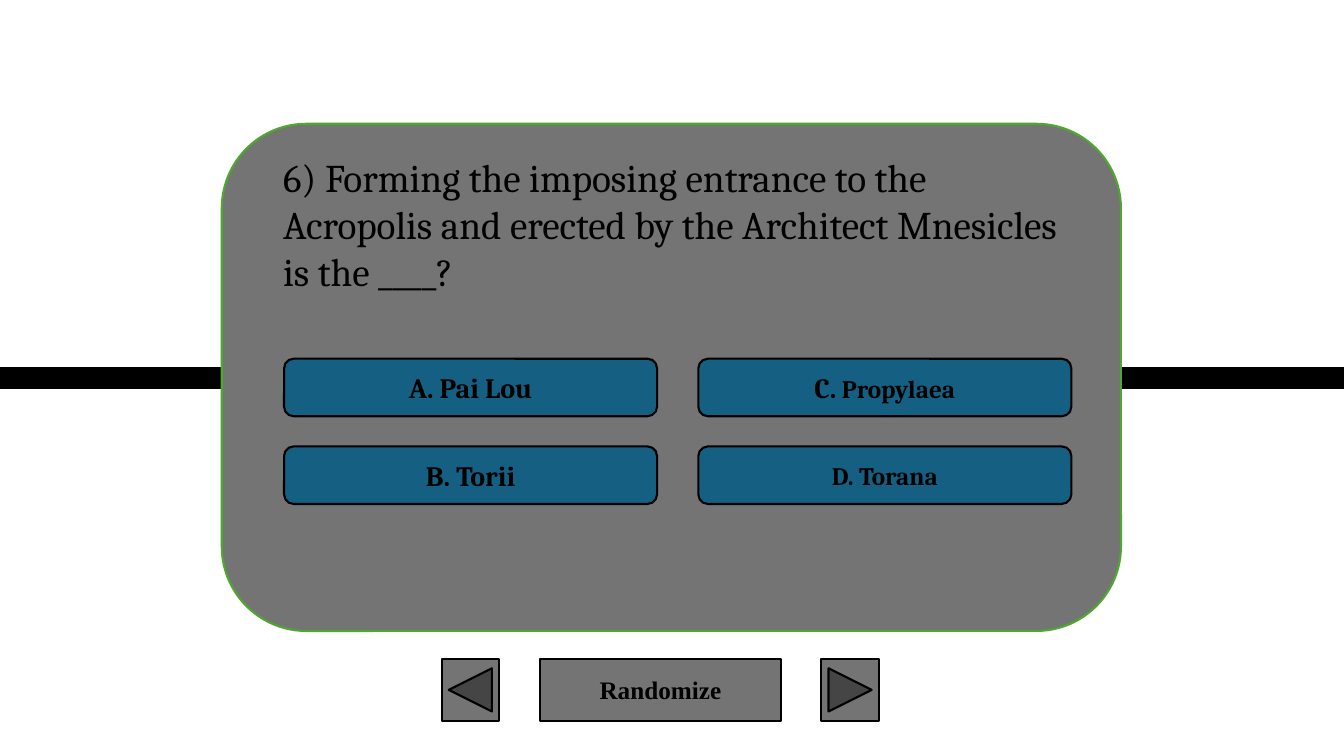
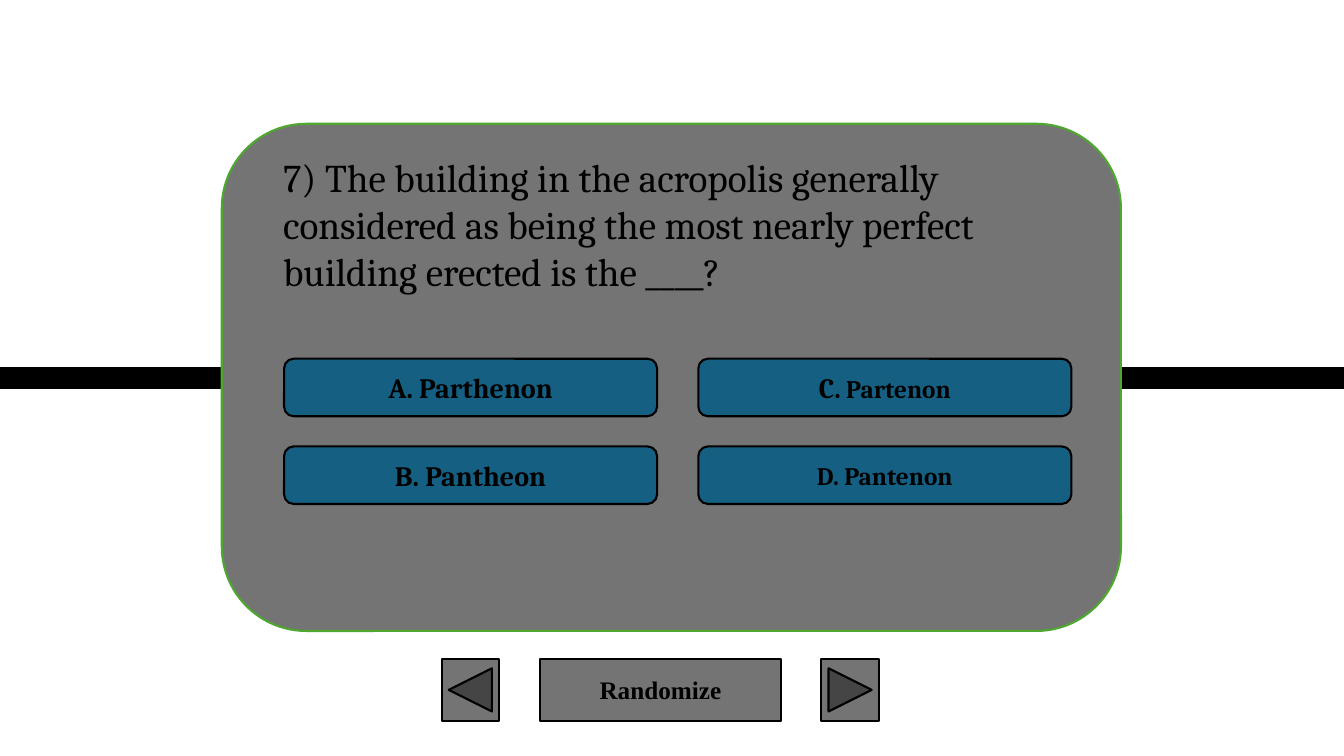
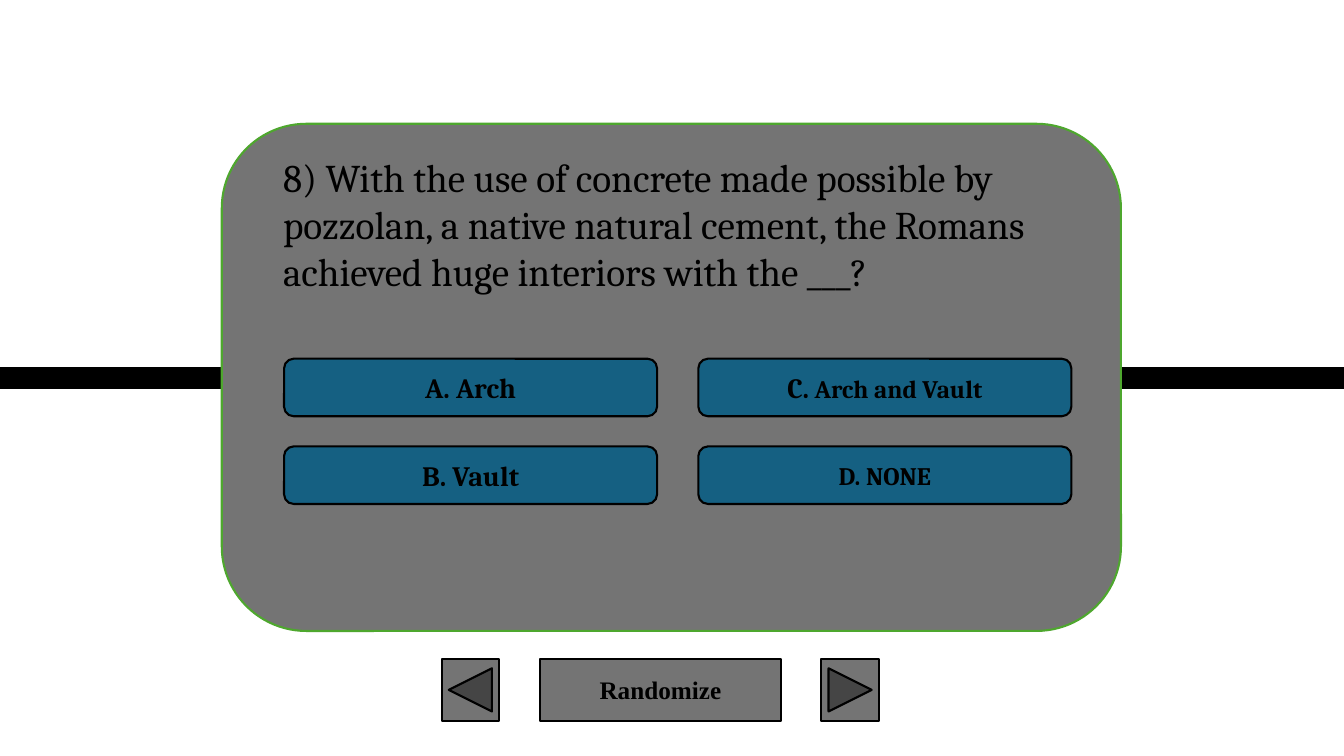
from lxml.etree import SubElement
from pptx import Presentation
from pptx.dml.color import RGBColor
from pptx.enum.shapes import MSO_CONNECTOR as Link, MSO_SHAPE as Kind
from pptx.enum.text import MSO_ANCHOR as Anchor, MSO_AUTO_SIZE as Fit, PP_ALIGN as Align
from pptx.oxml.ns import qn
from pptx.util import Cm, Pt

BLACK, GREY, GREEN, BLUE = "000000", "747474", "4EA72E", "156082"
SERIF, TIMES = "Cambria", "Times New Roman"

# Question, height of its box, answers A to D
QUIZ = [
    ("6) Forming the imposing entrance to the Acropolis and erected by the "
     "Architect Mnesicles is the ____?", 3.84,
     ["Pai Lou", "Torii", "Propylaea", "Torana"]),
    ("7) The building in the acropolis generally considered as being the most "
     "nearly perfect building erected is the ____?", 3.84,
     ["Parthenon", "Pantheon", "Partenon", "Pantenon"]),
    ("8) With the use of concrete made possible by pozzolan, a native natural "
     "cement, the Romans achieved huge interiors with the ___?", 5.05,
     ["Arch", "Vault", "Arch and Vault", "NONE"]),
]
SIZES = [(20, 20), (20, 20), (20, 18), (18, 18)]  # letter, answer

NAV = [
    (Kind.ACTION_BUTTON_CUSTOM, 13.61, 6.07, "Randomize"),
    (Kind.ACTION_BUTTON_BACK_OR_PREVIOUS, 11.13, 1.45, ""),
    (Kind.ACTION_BUTTON_FORWARD_OR_NEXT, 20.7, 1.45, ""),
]


def write(shape, *runs, font=SERIF, bold=True, align=Align.CENTER, anchor=Anchor.MIDDLE):
    """Fill a shape with one paragraph of (text, size) runs."""
    frame = shape.text_frame
    frame.word_wrap = True
    frame.vertical_anchor = anchor
    para = frame.paragraphs[0]
    para.alignment = align
    for text, size in runs:
        run = para.add_run()
        run.text = text
        run.font.name, run.font.size, run.font.bold = font, Pt(size), bold
        run.font.color.rgb = RGBColor.from_string(BLACK)


def draw(slide, kind, left, top, width, height, fill=GREY, line=BLACK):
    shape = slide.shapes.add_shape(kind, Cm(left), Cm(top), Cm(width), Cm(height))
    shape.shadow.inherit = False
    shape.fill.solid()
    shape.fill.fore_color.rgb = RGBColor.from_string(fill)
    shape.line.color.rgb = RGBColor.from_string(line)
    shape.line.width = Pt(1.5)
    return shape


deck = Presentation()
deck.slide_width, deck.slide_height = Cm(33.87), Cm(19.05)
middle = deck.slide_height // 2

for question, tall, answers in QUIZ:
    slide = deck.slides.add_slide(deck.slide_layouts[5])

    band = slide.shapes.add_connector(Link.STRAIGHT, 0, middle, deck.slide_width, middle)
    band.line.color.rgb = RGBColor.from_string(BLACK)
    band.line.width = Pt(16)
    SubElement(band._element.spPr, qn("a:effectLst"))

    for kind, left, width, label in NAV:
        button = draw(slide, kind, left, 16.61, width, 1.55)
        if label:
            write(button, (label, 18), font=TIMES)

    draw(slide, Kind.ROUNDED_RECTANGLE, 5.59, 3.12, 22.66, 12.78, line=GREEN)

    title = slide.shapes.title
    title.left, title.top, title.width, title.height = Cm(6.88), Cm(3.73), Cm(20.12), Cm(tall)
    write(title, (question, 28), bold=False, align=Align.LEFT, anchor=Anchor.TOP)
    title.text_frame.auto_size = Fit.SHAPE_TO_FIT_TEXT
    slide.shapes._spTree.append(title._element)  # bring in front of the panel

    for i, (answer, (big, small)) in enumerate(zip(answers, SIZES)):
        col, row = divmod(i, 2)
        box = draw(slide, Kind.ROUNDED_RECTANGLE, 7.16 + col * 10.44, 9.04 + row * 2.21,
                   9.4, 1.45, fill=BLUE)
        write(box, ("ABCD"[i] + ".", big), (" " + answer, small))

deck.save("out.pptx")
